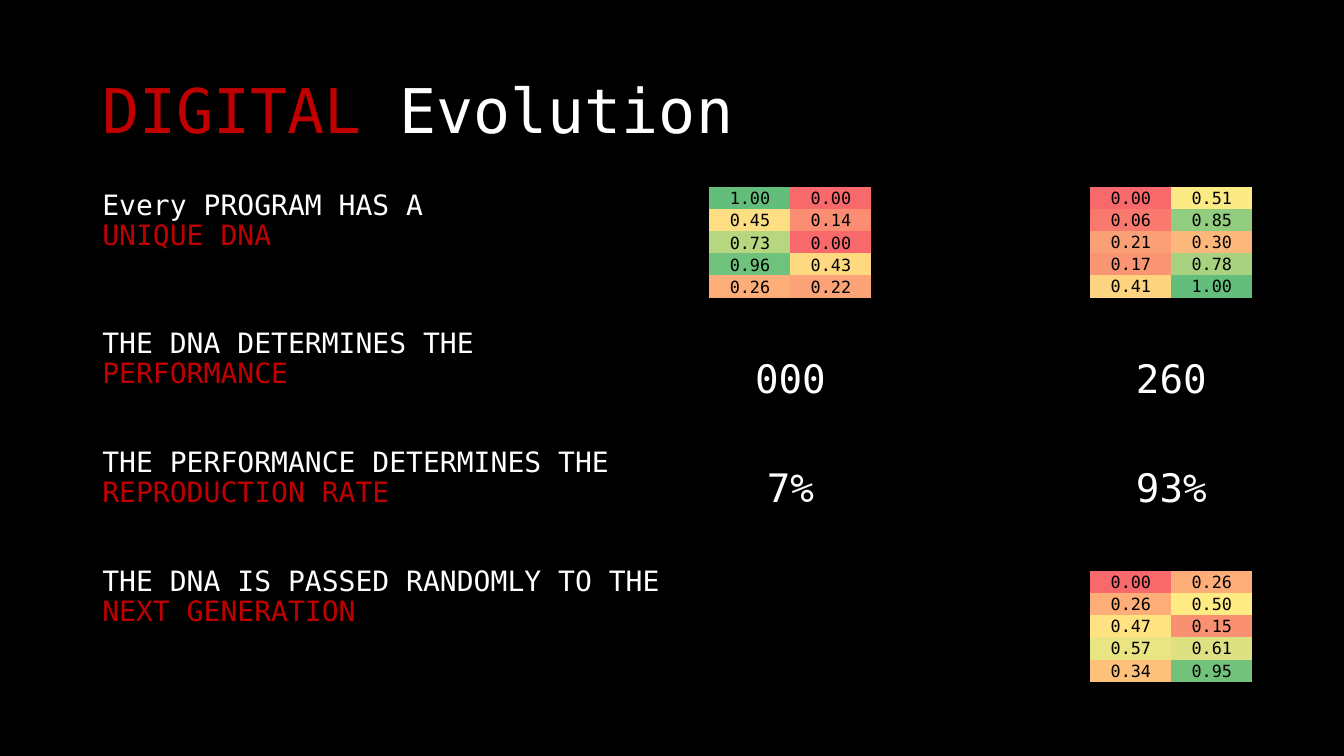
from pptx import Presentation
from pptx.dml.color import RGBColor
from pptx.enum.text import MSO_ANCHOR, MSO_AUTO_SIZE, PP_ALIGN
from pptx.util import Cm, Pt

FONT = "DejaVu Sans Mono"
BLACK = RGBColor(0x00, 0x00, 0x00)
WHITE = RGBColor(0xFF, 0xFF, 0xFF)
RED = RGBColor(0xC0, 0x00, 0x00)
LOW = RGBColor(0xF8, 0x69, 0x6B)
MIDDLE = RGBColor(0xFF, 0xEB, 0x84)
HIGH = RGBColor(0x63, 0xBE, 0x7B)
PLAIN_TABLE_STYLE = "{2D5ABB26-0587-4C30-8999-92F81FD0307C}"

LEFT = 2.33
CONTENT_TOP = 4.7
STRAND_WIDTH = 2.04
GENE_HEIGHT = 0.56
VALUE_WIDTH = 2.97
PERFORMANCE_TOP = 8.8
RATE_TOP = 11.56
CHILD_TOP = 14.38

# Statement, highlighted ending, space before in points
STATEMENTS = [
    ("Every PROGRAM HAS A", "UNIQUE DNA", 0),
    ("THE DNA DETERMINES THE", "PERFORMANCE", 55),
    ("THE PERFORMANCE DETERMINES THE", "REPRODUCTION RATE", 42),
    ("THE DNA IS PASSED RANDOMLY TO THE", "NEXT GENERATION", 42),
]

# Left edge, two strands of genes, cell anchor, performance, reproduction rate
PARENTS = [
    (17.88, [(1.00, 0.45, 0.73, 0.96, 0.26), (0.00, 0.14, 0.00, 0.43, 0.22)],
     MSO_ANCHOR.BOTTOM, "000", "7%"),
    (27.48, [(0.00, 0.06, 0.21, 0.17, 0.41), (0.51, 0.85, 0.30, 0.78, 1.00)],
     MSO_ANCHOR.MIDDLE, "260", "93%"),
]
CHILD_LEFT = 27.48
CHILD = [(0.00, 0.26, 0.47, 0.57, 0.34), (0.26, 0.50, 0.15, 0.61, 0.95)]


def add_span(para, text, size, color):
    span = para.add_run()
    span.text = text
    span.font.name = FONT
    span.font.size = Pt(size)
    span.font.color.rgb = color


def gene_color(gene):
    """Blend from LOW at 0 through MIDDLE at 0.5 to HIGH at 1."""
    start, end, share = (LOW, MIDDLE, gene * 2) if gene < 0.5 else (MIDDLE, HIGH, gene * 2 - 1)
    return RGBColor(*(round(a + (b - a) * share) for a, b in zip(start, end)))


def place_title(page, left, top, width, height):
    title = page.shapes.title
    title.left, title.top, title.width, title.height = map(Cm, (left, top, width, height))
    frame = title.text_frame
    frame.auto_size = MSO_AUTO_SIZE.NONE
    frame.vertical_anchor = MSO_ANCHOR.MIDDLE
    para = frame.paragraphs[0]
    para.alignment = PP_ALIGN.LEFT
    para.line_spacing = 0.9
    add_span(para, "DIGITAL", 44, RED)
    add_span(para, " Evolution", 44, WHITE)


def add_statements(page, left, top, width, height):
    box = page.shapes.add_textbox(*map(Cm, (left, top, width, height)))
    frame = box.text_frame
    frame.word_wrap = True
    for index, (statement, ending, space) in enumerate(STATEMENTS):
        para = frame.add_paragraph() if index else frame.paragraphs[0]
        para.line_spacing = 0.9
        para.space_before = Pt(space)
        add_span(para, statement, 20, WHITE)
        para.add_line_break()
        add_span(para, ending, 20, RED)


def add_strand(page, left, top, genes, anchor):
    shape = page.shapes.add_table(len(genes), 1, Cm(left), Cm(top),
                                  Cm(STRAND_WIDTH), Cm(GENE_HEIGHT * len(genes)))
    shape.element.xpath(".//a:tableStyleId")[0].text = PLAIN_TABLE_STYLE
    table = shape.table
    table.first_row = table.horz_banding = False
    for row, gene in enumerate(genes):
        table.rows[row].height = Cm(GENE_HEIGHT)
        cell = table.cell(row, 0)
        cell.fill.solid()
        cell.fill.fore_color.rgb = gene_color(gene)
        cell.margin_left = cell.margin_right = cell.margin_top = Cm(0.03)
        cell.margin_bottom = 0
        cell.vertical_anchor = anchor
        para = cell.text_frame.paragraphs[0]
        para.alignment = PP_ALIGN.CENTER
        add_span(para, f"{gene:.2f}", 12, BLACK)


def add_genome(page, left, top, strands, anchor):
    for index, genes in enumerate(strands):
        add_strand(page, left + index * STRAND_WIDTH, top, genes, anchor)


def add_value(page, center, top, text):
    box = page.shapes.add_textbox(Cm(center - VALUE_WIDTH / 2), Cm(top),
                                  Cm(VALUE_WIDTH), Cm(1.45))
    box.text_frame.word_wrap = True
    para = box.text_frame.paragraphs[0]
    para.alignment = PP_ALIGN.CENTER
    add_span(para, text, 28, WHITE)


def add_parent(page, left, top, strands, anchor, performance, rate):
    add_genome(page, left, top, strands, anchor)
    center = left + STRAND_WIDTH
    add_value(page, center, top + PERFORMANCE_TOP - CONTENT_TOP, performance)
    add_value(page, center, top + RATE_TOP - CONTENT_TOP, rate)


def main():
    deck = Presentation()
    deck.slide_width, deck.slide_height = Cm(33.87), Cm(19.05)
    page = deck.slides.add_slide(deck.slide_layouts.get_by_name("Title Only"))
    page.background.fill.solid()
    page.background.fill.fore_color.rgb = BLACK
    place_title(page, LEFT, 1.02, 29.21, 3.68)
    add_statements(page, LEFT, CONTENT_TOP, 15.55, 12.47)
    for left, *parent in PARENTS:
        add_parent(page, left, CONTENT_TOP, *parent)
    add_genome(page, CHILD_LEFT, CHILD_TOP, CHILD, MSO_ANCHOR.MIDDLE)
    deck.save("out.pptx")


if __name__ == "__main__":
    main()
